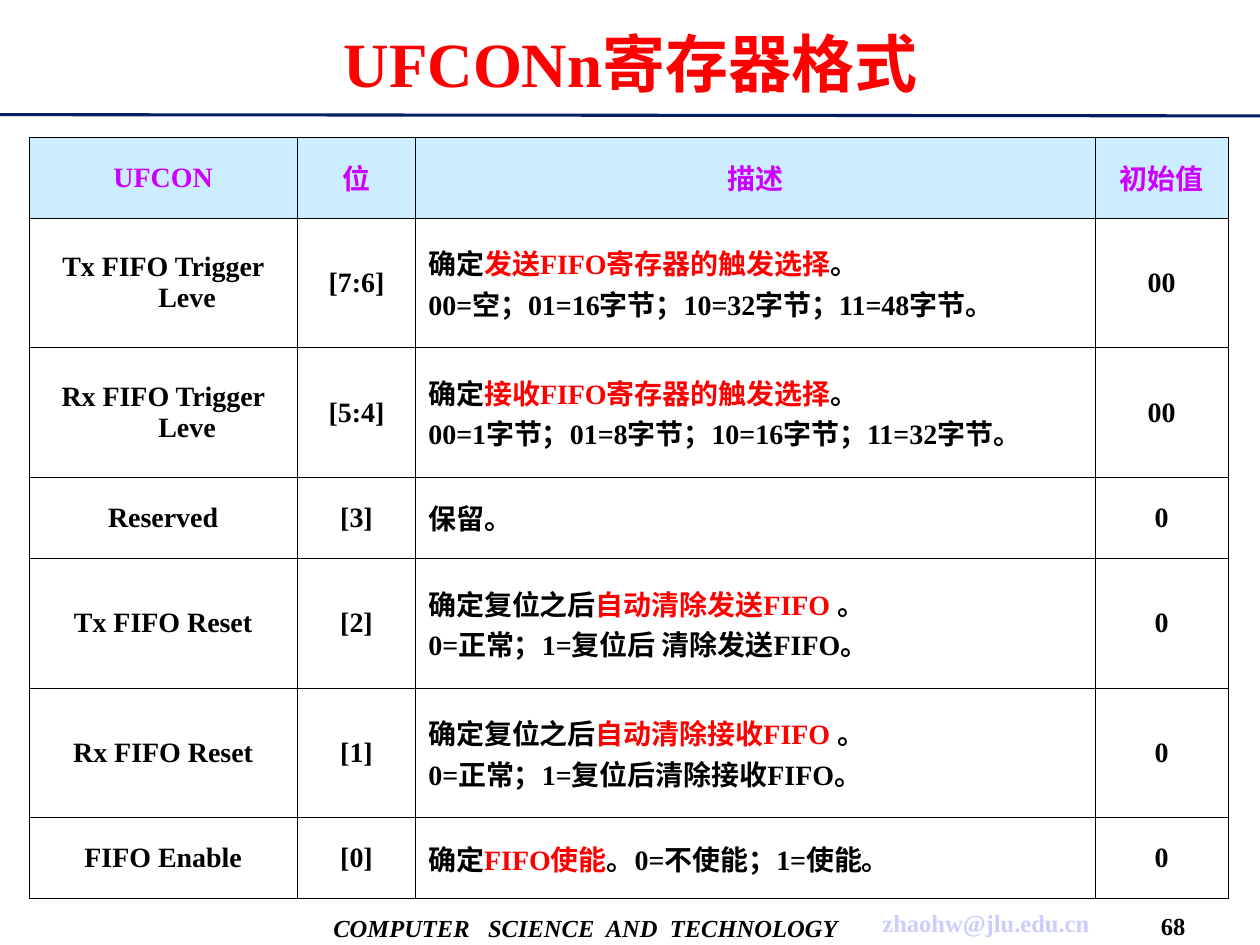
from lxml.etree import SubElement
from pptx import Presentation
from pptx.dml.color import RGBColor
from pptx.enum.shapes import MSO_CONNECTOR
from pptx.enum.text import MSO_ANCHOR, PP_ALIGN
from pptx.oxml.ns import qn
from pptx.util import Inches, Pt

COLORS = {
    "black": "000000",
    "red": "FF0000",
    "purple": "CC00FF",
    "navy": "001E64",
    "lavender": "CCCCFF",
    "header": "CCECFF",
    "white": "FFFFFF",
}
HANGING = Inches(0.38)


class RegisterSlide:
    """Holds the text style and the page being drawn."""

    def __init__(self, page, font="Times New Roman"):
        self.page = page
        self.font = font

    def color(self, name):
        return RGBColor.from_string(COLORS[name])

    def span(self, para, text, size, color, italic=False):
        span = para.add_run()
        span.text = text
        span.font.name = self.font
        span.font.size = Pt(size)
        span.font.bold = True
        span.font.italic = italic
        span.font.color.rgb = self.color(color)

    def text(self, place, text, size, color="black", italic=False):
        box = self.page.shapes.add_textbox(*map(Inches, place))
        frame = box.text_frame
        frame.word_wrap = False
        # Without side margins each line fits inside its box
        frame.margin_left = frame.margin_right = 0
        frame.vertical_anchor = MSO_ANCHOR.MIDDLE
        para = frame.paragraphs[0]
        para.alignment = PP_ALIGN.CENTER
        self.span(para, text, size, color, italic)

    def line(self, start, end, color, width):
        ends = map(Inches, (*start, *end))
        rule = self.page.shapes.add_connector(MSO_CONNECTOR.STRAIGHT, *ends)
        rule.line.color.rgb = self.color(color)
        rule.line.width = Pt(width)
        SubElement(rule._element.spPr, qn("a:effectLst"))

    def borders(self, cell, color="black", width=0.45):
        properties = cell._tc.get_or_add_tcPr()
        for side in ("a:lnL", "a:lnR", "a:lnT", "a:lnB"):
            edge = SubElement(properties, qn(side), w=str(Pt(width)))
            fill = SubElement(edge, qn("a:solidFill"))
            SubElement(fill, qn("a:srgbClr"), val=COLORS[color])

    def cell(self, cell, paragraphs, fill, color, align):
        self.borders(cell)
        cell.fill.solid()
        cell.fill.fore_color.rgb = self.color(fill)
        cell.vertical_anchor = MSO_ANCHOR.MIDDLE
        frame = cell.text_frame
        for index, spans in enumerate(paragraphs):
            para = frame.add_paragraph() if index else frame.paragraphs[0]
            para.alignment = align
            indent = para._p.get_or_add_pPr()
            indent.set("marL", str(HANGING))
            indent.set("indent", str(-HANGING))
            # Every second span is the highlighted one
            for position, text in enumerate(spans):
                self.span(para, text, 16, "red" if position % 2 else color)

    def table(self, place, widths, heights, header, rows):
        frame = self.page.shapes.add_table(
            len(heights), len(widths), *map(Inches, place))
        table = frame.table
        table.first_row = False
        table.horz_banding = False
        for column, width in zip(table.columns, widths):
            column.width = Inches(width)
        for row, height in zip(table.rows, heights):
            row.height = Inches(height)
        for column, title in enumerate(header):
            self.cell(table.cell(0, column), [[title]], "header", "purple",
                      PP_ALIGN.CENTER)
        for number, (name, bits, description, initial) in enumerate(rows, 1):
            contents = ([[name]], [[bits]], description, [[initial]])
            for column, paragraphs in enumerate(contents):
                align = PP_ALIGN.LEFT if column == 2 else PP_ALIGN.CENTER
                self.cell(table.cell(number, column), paragraphs, "white",
                          "black", align)


HEADER = ["UFCON", "位", "描述", "初始值"]

# Name, bits, description paragraphs split into spans, initial value
FIELDS = [
    ("Tx FIFO Trigger Leve", "[7:6]",
     [["确定", "发送FIFO寄存器的触发选择", "。"],
      ["00=空；01=16字节；10=32字节；11=48字节。"]], "00"),
    ("Rx FIFO Trigger Leve", "[5:4]",
     [["确定", "接收FIFO寄存器的触发选择", "。"],
      ["00=1字节；01=8字节；10=16字节；11=32字节。"]], "00"),
    ("Reserved", "[3]", [["保留。"]], "0"),
    ("Tx FIFO Reset", "[2]",
     [["确定复位之后", "自动清除发送FIFO ", "。"],
      ["0=正常；1=复位后 清除发送FIFO。"]], "0"),
    ("Rx FIFO Reset", "[1]",
     [["确定复位之后", "自动清除接收FIFO ", "。"],
      ["0=正常；1=复位后清除接收FIFO。"]], "0"),
    ("FIFO Enable", "[0]",
     [["确定", "FIFO使能", "。0=不使能；1=使能。"]], "0"),
]


def main():
    deck = Presentation()
    deck.slide_width = Inches(10)
    deck.slide_height = Inches(7.5)
    slide = RegisterSlide(deck.slides.add_slide(deck.slide_layouts[6]))

    # Rule and footer
    slide.line((0, 0.91), (10, 0.92), "navy", 1.75)
    slide.text((2.55, 7.15, 4.2, 0.42), "COMPUTER   SCIENCE  AND  TECHNOLOGY",
               14, italic=True)
    slide.text((6.92, 7.14, 1.81, 0.36), "zhaohw@jlu.edu.cn", 14, "lavender")
    slide.text((9.09, 7.19, 0.44, 0.31), "68", 14)

    # Title
    slide.text((0.32, 0.08, 9.37, 0.83), "UFCONn寄存器格式", 36, "red")

    # Register table: rows with two lines are taller
    heights = [0.64] + [1.03 if len(field[2]) > 1 else 0.64
                        for field in FIELDS]
    slide.table((0.23, 1.09, 9.52, sum(heights)), [2.13, 0.94, 5.39, 1.06],
                heights, HEADER, FIELDS)

    deck.save("out.pptx")


if __name__ == "__main__":
    main()
